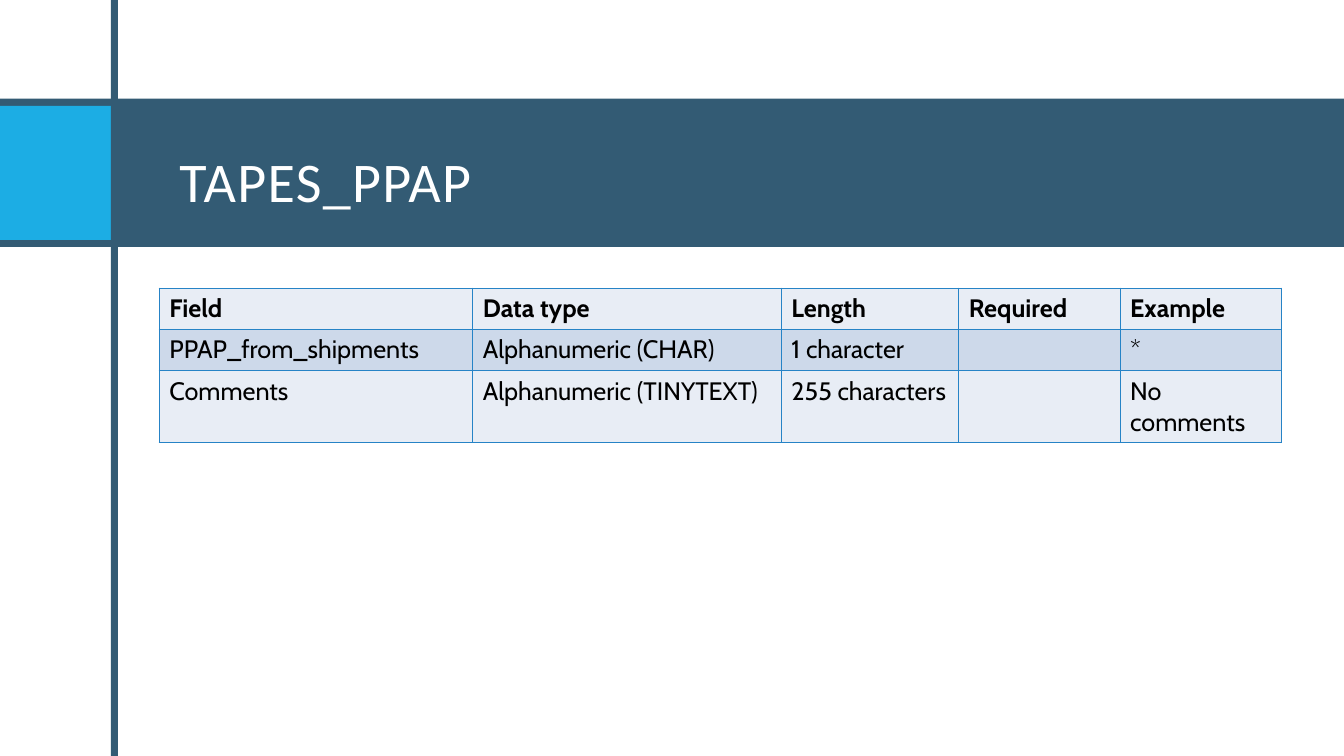
from lxml.etree import SubElement
from pptx import Presentation
from pptx.dml.color import RGBColor
from pptx.enum.shapes import MSO_SHAPE
from pptx.enum.text import MSO_ANCHOR, PP_ALIGN
from pptx.oxml.ns import qn
from pptx.util import Inches, Pt

NAVY, CYAN, BORDER = "335B74", "1CADE4", "2683C6"
ROW_FILLS = ("E8EDF5", "CDD9EA")
COL_WIDTHS = (3.11, 3.06, 1.76, 1.6, 1.6)
ROW_HEIGHT = 0.41
FIELDS = (
    ("Field", "Data type", "Length", "Required", "Example"),
    ("PPAP_from_shipments", "Alphanumeric (CHAR)", "1 character", "", "*"),
    ("Comments", "Alphanumeric (TINYTEXT)", "255 characters", "", "No comments"),
)


def rgb(color):
    return RGBColor.from_string(color)


def write(tf, text, font="Cabin", size=18, color="000000", bold=False, spacing=0):
    """Put one formatted run in the first paragraph; spacing is in points."""
    p = tf.paragraphs[0]
    p.alignment = PP_ALIGN.LEFT
    r = p.add_run()
    r.text = text
    r.font.name = font
    r.font.size = Pt(size)
    r.font.bold = bold
    r.font.color.rgb = rgb(color)
    if spacing:
        r.font._element.set("spc", str(spacing * 100))


def add_bar(s, left, top, width, height, color):
    bar = s.shapes.add_shape(MSO_SHAPE.RECTANGLE, Inches(left), Inches(top),
                             Inches(width), Inches(height))
    bar.shadow.inherit = False
    bar.fill.solid()
    bar.fill.fore_color.rgb = rgb(color)
    bar.line.fill.background()


def set_title(s, text):
    title = s.shapes.title
    title.left, title.top = Inches(1.68), Inches(1.05)
    title.width, title.height = Inches(10.95), Inches(1.33)
    # The title comes first in the tree, so bring it in front of the bars
    title.element.getparent().append(title.element)
    tf = title.text_frame
    tf.word_wrap = True
    tf.vertical_anchor = MSO_ANCHOR.MIDDLE
    tf.margin_left = tf.margin_right = Inches(0.1)
    tf.margin_top, tf.margin_bottom = Inches(0.2), Inches(0.05)
    write(tf, text, font="Calibri", size=40, color="FFFFFF", spacing=1)


def set_borders(cell, color, width=1):
    tc_pr = cell._tc.get_or_add_tcPr()
    for i, side in enumerate(("lnL", "lnR", "lnT", "lnB")):
        ln = tc_pr.makeelement(qn(f"a:{side}"), {"w": str(Pt(width))})
        fill = SubElement(ln, qn("a:solidFill"))
        SubElement(fill, qn("a:srgbClr"), val=color)
        tc_pr.insert(i, ln)


def add_field_table(s):
    table = s.shapes.add_table(
        len(FIELDS), len(COL_WIDTHS), Inches(1.58), Inches(2.86),
        Inches(sum(COL_WIDTHS)), Inches(ROW_HEIGHT * len(FIELDS))).table
    for column, width in zip(table.columns, COL_WIDTHS):
        column.width = Inches(width)
    for i, values in enumerate(FIELDS):
        table.rows[i].height = Inches(ROW_HEIGHT)
        for j, value in enumerate(values):
            cell = table.cell(i, j)
            cell.fill.solid()
            cell.fill.fore_color.rgb = rgb(ROW_FILLS[i % 2])
            set_borders(cell, BORDER)
            if value:
                write(cell.text_frame, value, bold=i == 0)


def main():
    prs = Presentation()
    prs.slide_width, prs.slide_height = Inches(13.33), Inches(7.5)
    s = prs.slides.add_slide(prs.slide_layouts[5])
    add_bar(s, 0, 0.98, 13.33, 1.47, NAVY)
    add_bar(s, 0, 1.05, 1.1, 1.33, CYAN)
    add_bar(s, 1.1, 0, 0.07, 7.5, NAVY)
    set_title(s, "TAPES_PPAP")
    add_field_table(s)
    prs.save("out.pptx")


if __name__ == "__main__":
    main()
